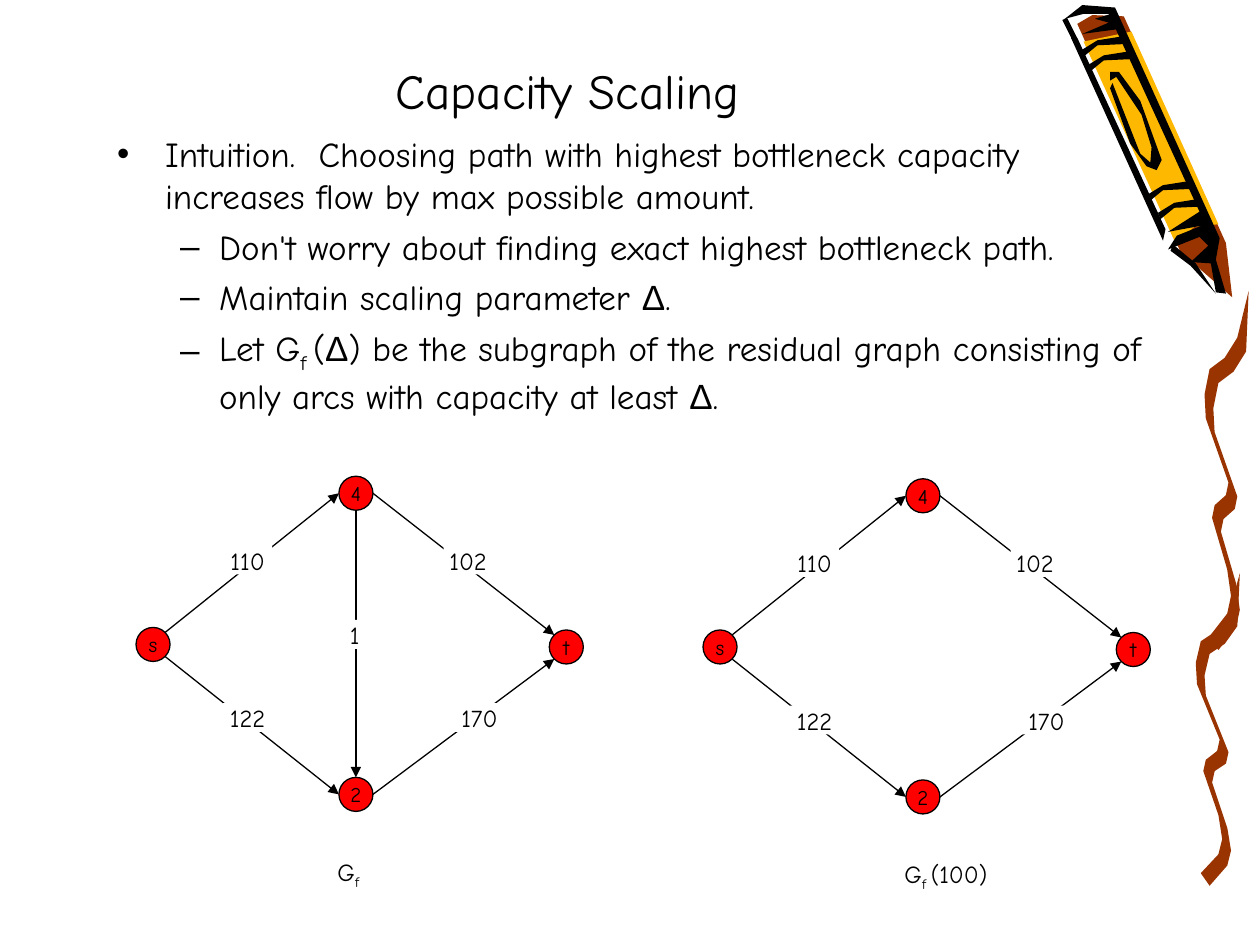
from dataclasses import dataclass

import pptx
import pptx.dml.color
import pptx.enum.shapes
import pptx.enum.text
import pptx.oxml
import pptx.oxml.ns
import pptx.oxml.xmlchemy
import pptx.util
from pptx.util import Inches

FONT = "Comic Neue"
BLACK, WHITE, RED, BROWN, YELLOW = "000000", "FFFFFF", "FF0000", "993300", "FFB800"
DIAMETER = 0.27
DELTA = {"text": "Δ", "font": "Arial"}
SUB_F = {"text": "f ", "baseline": -25}


@dataclass(frozen=True)
class Outline:
    color: str
    points: list[tuple[float, float]]


@dataclass(frozen=True)
class Node:
    name: str
    x: float
    y: float


@dataclass(frozen=True)
class Edge:
    start: str
    start_side: tuple[int, int]
    end: str
    end_side: tuple[int, int]
    capacity: str
    label_x: float
    label_y: float
    label_width: float = 0.39


@dataclass(frozen=True)
class Graph:
    dx: float
    dy: float
    edges: list[Edge]
    caption: list[dict]
    caption_width: float


SQUIGGLE_EDGE = [(960, 505), (974, 487), (977, 473), (974, 452), (962, 411), (964, 401),
                 (973, 393), (975, 383), (957, 332), (956, 313), (960, 293), (972, 284),
                 (982, 268)]
SQUIGGLE = SQUIGGLE_EDGE + [(991, 231)] + [(x + 7, y + 11)
                                           for x, y in reversed(SQUIGGLE_EDGE)]
BAND = [(0, 0), (11, -9), (33, -10), (30, -16), (11, -13), (-2, -5)]
BAND_STARTS = [(921, 174), (912, 160), (865, 57), (860, 45)]
CRAYON_AND_SQUIGGLE = [
    Outline(BROWN, [(855, 19), (937, 200), (978, 236), (973, 193), (892, 13), (867, 12)]),
    Outline(YELLOW, [(933, 193), (948, 180), (967, 178), (898, 25), (860, 33)]),
    Outline(BROWN, [(x - 7, 455 + (y - 231) * 0.87) for x, y in SQUIGGLE]),
    Outline(BROWN, SQUIGGLE),
    Outline(BLACK, [(929, 199), (945, 211), (965, 233), (949, 209), (931, 194)]),
    Outline(BLACK, [(859, 27), (889, 23), (882, 11), (869, 15), (880, 18)]),
    Outline(BLACK, [(881, 70), (897, 114), (910, 132), (918, 135), (922, 127), (905, 80),
                    (888, 57), (881, 57), (881, 64), (886, 61), (906, 91), (914, 117),
                    (913, 129), (905, 122), (883, 66)]),
    Outline(BLACK, [(850, 30), (923, 191), (925, 182), (855, 30)]),
    Outline(BLACK, [(927, 198), (934, 187), (954, 179), (927, 184), (952, 168), (880, 11),
                    (860, 11), (845, 15), (859, 4), (885, 6), (968, 189), (965, 206),
                    (973, 233), (965, 232), (961, 209), (945, 208), (959, 195), (952, 188)]),
] + [Outline(BLACK, [(left + x, top + y) for x, y in BAND]) for left, top in BAND_STARTS]

NODES = [Node("s", 1.08, 4.98), Node("4", 2.69, 3.78), Node("2", 2.69, 6.17),
         Node("t", 4.36, 5)]
OUTER_EDGES = [
    Edge("s", (1, -1), "4", (-1, 0), "110", 1.77, 4.33),
    Edge("s", (1, 1), "2", (-1, 0), "122", 1.77, 5.58),
    Edge("4", (1, 0), "t", (-1, -1), "102", 3.52, 4.33),
    Edge("2", (1, 0), "t", (-1, 1), "170", 3.61, 5.58),
]
MIDDLE_EDGE = Edge("4", (0, 1), "2", (0, -1), "1", 2.66, 4.92, 0.31)
GRAPHS = [
    Graph(0, 0, OUTER_EDGES + [MIDDLE_EDGE],
          [{"text": "G"}, {"text": "f", "baseline": -25}], 0.67),
    Graph(4.5, 0.02, OUTER_EDGES, [{"text": "G"}, SUB_F, {"text": "(100)"}], 1.25),
]

POINTS = [
    (0, [{"text": "Intuition.  Choosing path with highest bottleneck capacity "
                  "increases flow by max possible amount."}]),
    (1, [{"text": "Don't worry about finding exact highest bottleneck path."}]),
    (1, [{"text": "Maintain scaling parameter "}, DELTA, {"text": "."}]),
    (1, [{"text": "Let G"}, SUB_F, {"text": "("}, DELTA,
         {"text": ") be the subgraph of the residual graph consisting of "
                  "only arcs with capacity at least "}, DELTA, {"text": "."}]),
]


def rgb(color: str) -> pptx.dml.color.RGBColor:
    return pptx.dml.color.RGBColor.from_string(color)


def append_element(parent, tag: str, **attributes: str) -> None:
    element = pptx.oxml.xmlchemy.OxmlElement(tag)
    for name, value in attributes.items():
        element.set(name, value)
    parent.append(element)


def write(paragraph, text: str, *, size: float, font: str = FONT, color: str = BLACK,
          baseline: int = 0) -> None:
    run = paragraph.add_run()
    run.text = text
    run.font.size = pptx.util.Pt(size)
    run.font.name = font
    run.font.color.rgb = rgb(color)
    if baseline:
        run._r.get_or_add_rPr().set("baseline", str(baseline * 1000))


def place(shape, left: float, top: float, width: float, height: float) -> None:
    shape.left, shape.top = Inches(left), Inches(top)
    shape.width, shape.height = Inches(width), Inches(height)


def paint(shape, fill: str, line: str | None = None) -> None:
    shape.shadow.inherit = False
    shape.fill.solid()
    shape.fill.fore_color.rgb = rgb(fill)
    if line:
        shape.line.color.rgb = rgb(line)
        shape.line.width = pptx.util.Pt(0.75)
    else:
        shape.line.fill.background()


def draw_outline(shapes, outline: Outline) -> None:
    builder = shapes.build_freeform(*outline.points[0], scale=Inches(0.01))
    builder.add_line_segments(outline.points[1:], close=True)
    paint(builder.convert_to_shape(), outline.color)


def draw_line(shapes, start: tuple[float, float], end: tuple[float, float],
              width: float = 0.75, arrow: bool = True) -> None:
    line = shapes.add_connector(pptx.enum.shapes.MSO_CONNECTOR.STRAIGHT,
                                *map(Inches, start + end))
    line.line.color.rgb = rgb(BLACK)
    line.line.width = pptx.util.Pt(width)
    properties = line._element.spPr
    if arrow:
        append_element(properties.find(pptx.oxml.ns.qn("a:ln")), "a:tailEnd", type="triangle")
    append_element(properties, "a:effectLst")


def draw_box(shapes, kind, box: tuple[float, float, float, float], text: str, size: float,
             fill: str, line: str | None = None):
    shape = shapes.add_shape(kind, *map(Inches, box))
    paint(shape, fill, line)
    paragraph = shape.text_frame.paragraphs[0]
    paragraph.alignment = pptx.enum.text.PP_ALIGN.CENTER
    write(paragraph, text, size=size)
    return shape.text_frame


def side_point(node: Node, side: tuple[int, int], graph: Graph) -> tuple[float, float]:
    radius = DIAMETER / 2
    reach = radius / (side[0] ** 2 + side[1] ** 2) ** 0.5
    return (node.x + radius + reach * side[0] + graph.dx,
            node.y + radius + reach * side[1] + graph.dy)


def draw_graph(shapes, graph: Graph) -> None:
    kinds = pptx.enum.shapes.MSO_SHAPE
    nodes = {node.name: node for node in NODES}
    for edge in graph.edges:
        draw_line(shapes, side_point(nodes[edge.start], edge.start_side, graph),
                  side_point(nodes[edge.end], edge.end_side, graph))
        box = (edge.label_x + graph.dx, edge.label_y + graph.dy, edge.label_width, 0.23)
        frame = draw_box(shapes, kinds.RECTANGLE, box, edge.capacity, 14, WHITE)
        frame.margin_left = frame.margin_right = frame.margin_top = frame.margin_bottom = 0
        frame.vertical_anchor = pptx.enum.text.MSO_ANCHOR.TOP
    for node in NODES:
        box = (node.x + graph.dx, node.y + graph.dy, DIAMETER, DIAMETER)
        frame = draw_box(shapes, kinds.OVAL, box, node.name, 12, RED, BLACK)
        frame.word_wrap = False
        frame.vertical_anchor = pptx.enum.text.MSO_ANCHOR.MIDDLE
    caption = shapes.add_textbox(*map(Inches, (2.58 + graph.dx, 6.75 + graph.dy,
                                               graph.caption_width, 0.37)))
    caption.text_frame.word_wrap = True
    for run in graph.caption:
        write(caption.text_frame.paragraphs[0], size=14, **run)


def set_bullet(paragraph, level: int) -> None:
    margin, hanging, mark = [(0.38, 0.38, "•"), (0.81, 0.31, "–")][level]
    paragraph.level = level
    properties = paragraph._p.get_or_add_pPr()
    properties.set("marL", str(Inches(margin)))
    properties.set("indent", str(-Inches(hanging)))
    append_element(properties, "a:buChar", char=mark)


def main() -> None:
    deck = pptx.Presentation()
    deck.slide_width, deck.slide_height = Inches(10), Inches(7.5)
    slide = deck.slides.add_slide(deck.slide_layouts[1])
    title, body = slide.placeholders
    for outline in CRAYON_AND_SQUIGGLE:
        draw_outline(slide.shapes, outline)
    draw_line(slide.shapes, (8.45, 0.15), (8.53, 0.31), width=3, arrow=False)

    place(title, 0.75, -0.75, 7.51, 1.75)
    place(body, 0.83, 1, 8.42, 4)
    for placeholder in (title, body):
        placeholder.text_frame.auto_size = pptx.enum.text.MSO_AUTO_SIZE.NONE
    title.text_frame.vertical_anchor = pptx.enum.text.MSO_ANCHOR.BOTTOM
    heading = title.text_frame.paragraphs[0]
    heading.alignment = pptx.enum.text.PP_ALIGN.CENTER
    write(heading, "Capacity Scaling", size=28)

    for index, (level, runs) in enumerate(POINTS):
        frame = body.text_frame
        paragraph = frame.add_paragraph() if index else frame.paragraphs[0]
        set_bullet(paragraph, level)
        paragraph.space_before = pptx.util.Pt(5 if index else 0)
        for run in runs:
            write(paragraph, size=20, **run)

    for graph in GRAPHS:
        draw_graph(slide.shapes, graph)
    deck.save("out.pptx")


if __name__ == "__main__":
    main()
